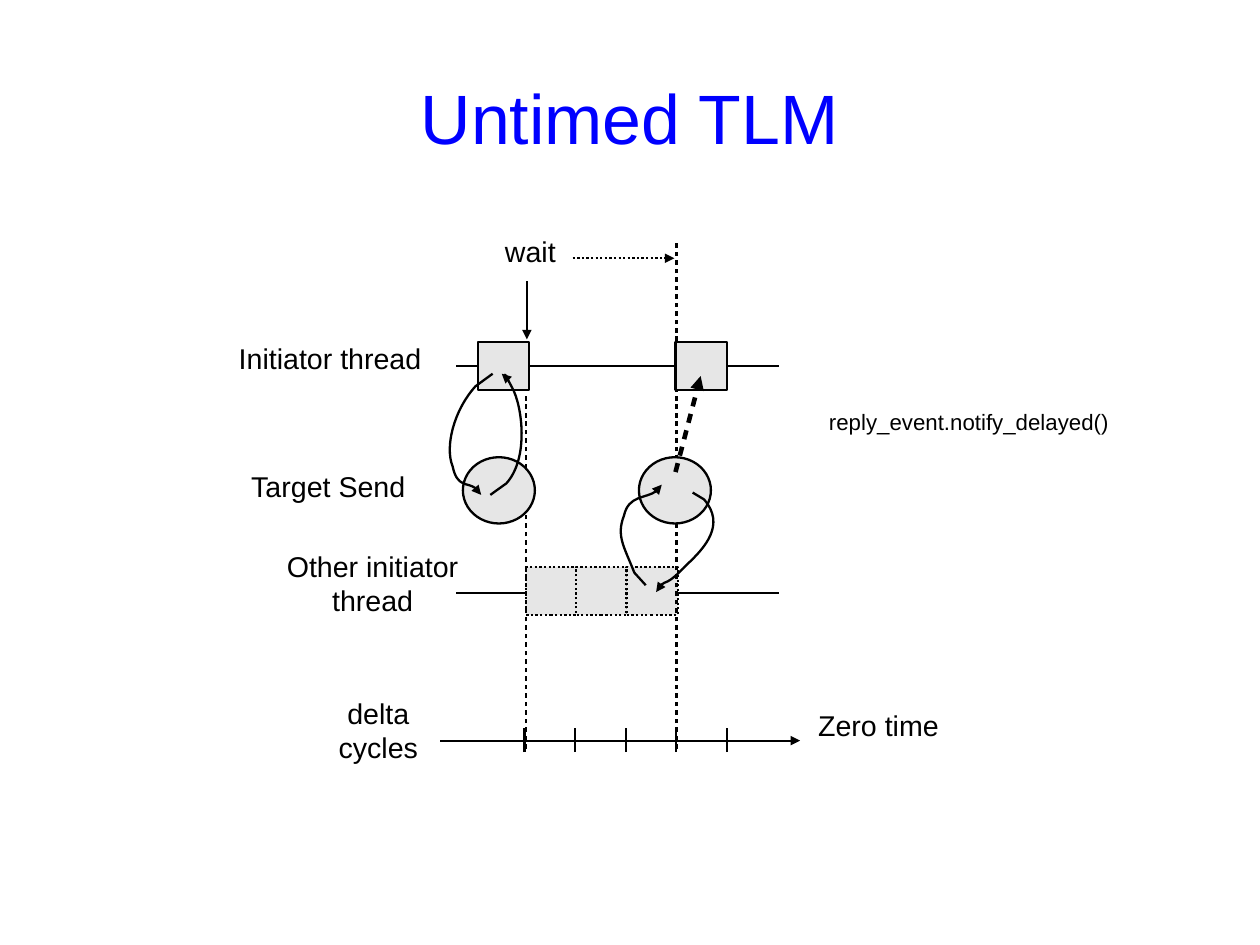
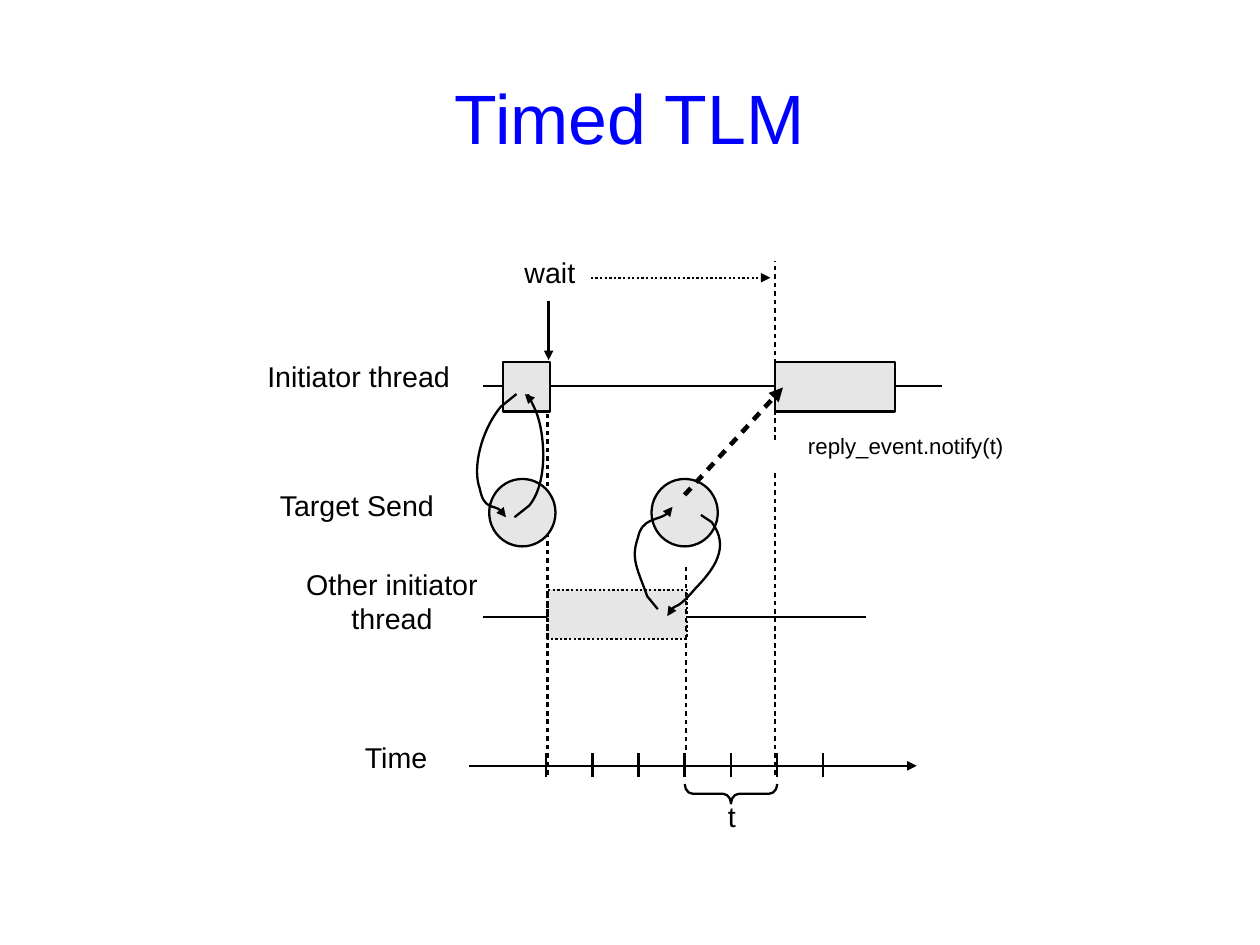
import lxml.etree
import pptx
import pptx.dml.color
import pptx.enum.dml
import pptx.enum.shapes
import pptx.enum.text
import pptx.oxml.ns
import pptx.util

Inches = pptx.util.Inches
Pt = pptx.util.Pt
qn = pptx.oxml.ns.qn
SHAPE = pptx.enum.shapes.MSO_SHAPE
ALIGN = pptx.enum.text.PP_ALIGN
ANCHOR = pptx.enum.text.MSO_ANCHOR

COLORS = {"title": "0000FF", "ink": "000000", "block": "E6E6E6"}
FONT = "Arial"
THIN = 1.45
THICK = 2.89
DOT = (100000, 100000)
DASH = (200000, 170000)
CIRCLE_WIDTH, CIRCLE_HEIGHT = 0.63, 0.58

CALL_LOOP = [
    [(0.26, -0.73), (0.11, -0.62),
     (-0.08, -0.41), (-0.16, -0.09), (-0.09, 0.08),
     (-0.05, 0.27), (0.09, 0.20), (0.16, 0.33)],
    [(0.24, 0.33), (0.38, 0.23),
     (0.58, 0.01), (0.52, -0.45), (0.43, -0.61),
     (0.33, -0.80), (0.40, -0.60), (0.34, -0.73)],
]
REPLY_LOOP = [
    [(0.06, 1.12), (-0.04, 1.01),
     (-0.13, 0.78), (-0.20, 0.69), (-0.13, 0.51),
     (-0.09, 0.33), (0.14, 0.37), (0.20, 0.24)],
    [(0.47, 0.31), (0.57, 0.37),
     (0.76, 0.59), (0.58, 0.79), (0.42, 0.94),
     (0.24, 1.13), (0.21, 1.06), (0.15, 1.18)],
]


def color(name):
    return pptx.dml.color.RGBColor.from_string(COLORS[name])


def write_text(frame, text, size=18, ink="ink", align=ALIGN.LEFT):
    for index, words in enumerate(text.split("\n")):
        para = frame.add_paragraph() if index else frame.paragraphs[0]
        para.alignment = align
        span = para.add_run()
        span.text = words
        span.font.name = FONT
        span.font.size = Pt(size)
        span.font.color.rgb = color(ink)


class TimingDeck:
    def __init__(self):
        self.deck = pptx.Presentation()
        self.deck.slide_width = Inches(28 / 2.54)
        self.deck.slide_height = Inches(21 / 2.54)
        self.page = None

    def add_page(self, title):
        self.page = self.deck.slides.add_slide(self.deck.slide_layouts[6])
        frame = self.label(title, 0.55, 0.33, 9.92, 1.38, size=44,
                           ink="title", align=ALIGN.CENTER)
        frame.vertical_anchor = ANCHOR.MIDDLE
        frame.margin_left = frame.margin_right = 0
        frame.margin_top = frame.margin_bottom = 0

    def label(self, text, left, top, width, height=0.61, **style):
        box = self.page.shapes.add_textbox(
            Inches(left), Inches(top), Inches(width), Inches(height))
        box.text_frame.word_wrap = True
        write_text(box.text_frame, text, **style)
        return box.text_frame

    def outline(self, item, weight=THIN, dash=None, arrow=False):
        item.line.color.rgb = color("ink")
        item.line.width = Pt(weight)
        stroke = item.element.spPr.find(qn("a:ln"))
        if dash:
            length, gap = dash
            pattern = lxml.etree.SubElement(stroke, qn("a:custDash"))
            lxml.etree.SubElement(pattern, qn("a:ds"), d=str(length), sp=str(gap))
        if arrow:
            lxml.etree.SubElement(stroke, qn("a:tailEnd"), type="triangle")

    def line(self, x1, y1, x2, y2, **style):
        connector = self.page.shapes.add_connector(
            pptx.enum.shapes.MSO_CONNECTOR.STRAIGHT,
            Inches(x1), Inches(y1), Inches(x2), Inches(y2))
        self.outline(connector, **style)
        lxml.etree.SubElement(connector.element.spPr, qn("a:effectLst"))

    def block(self, left, top, width, height, kind=SHAPE.RECTANGLE, dash=None):
        shape = self.page.shapes.add_shape(
            kind, Inches(left), Inches(top), Inches(width), Inches(height))
        shape.shadow.inherit = False
        shape.fill.solid()
        shape.fill.fore_color.rgb = color("block")
        self.outline(shape, dash=dash)

    def curve(self, points):
        points = [(Inches(x), Inches(y)) for x, y in points]
        builder = self.page.shapes.build_freeform(*points[0])
        builder.add_line_segments(points[1:], close=False)
        shape = builder.convert_to_shape()
        shape.shadow.inherit = False
        shape.fill.background()
        self.outline(shape, arrow=True)
        steps = list(shape.element.iter(qn("a:lnTo")))[1:]
        for start in range(0, len(steps), 3):
            bend = lxml.etree.Element(qn("a:cubicBezTo"))
            steps[start].addprevious(bend)
            for step in steps[start:start + 3]:
                bend.append(step[0])
                step.getparent().remove(step)

    def loop(self, curves, left, top, width, height):
        for points in curves:
            self.curve([(left + x * width / CIRCLE_WIDTH,
                         top + y * height / CIRCLE_HEIGHT) for x, y in points])

    def brace(self, left, top, width, height):
        shape = self.page.shapes.add_shape(
            SHAPE.RIGHT_BRACE,
            Inches(left + (width - height) / 2), Inches(top + (height - width) / 2),
            Inches(height), Inches(width))
        shape.rotation = 90
        shape.adjustments[0] = 0.41
        shape.shadow.inherit = False
        shape.fill.background()
        self.outline(shape)

    def axis(self, start, end, y, first, last, count):
        self.line(start, y, end, y, arrow=True)
        for index in range(count):
            x = first + index * (last - first) / (count - 1)
            self.line(x, y + 0.1, x, y - 0.11)

    def diagram(self, labels, threads, busy, others, wait, axis, guides,
                circles, resumed, notify):
        for text, left, top, width, align in labels:
            self.label(text, left, top, width, align=align)
        for thread in threads:
            self.line(*thread)
        self.block(*busy)
        for other in others:
            self.block(*other, dash=DOT)
        down, across = wait
        self.line(*down, arrow=True)
        self.line(*across, arrow=True, dash=DOT)
        self.axis(*axis)
        for x, bottom, top in guides:
            self.line(x, bottom, x, top, dash=DASH)
        for circle in circles:
            self.block(*circle, kind=SHAPE.OVAL)
        self.loop(REPLY_LOOP, *circles[1])
        self.block(*resumed)
        self.line(*notify, weight=THICK, dash=DASH, arrow=True)
        self.loop(CALL_LOOP, *circles[0])


def untimed(slides):
    slides.add_page("Untimed TLM")
    slides.diagram(
        labels=[
            ("Initiator thread", 1.99, 2.93, 2.58, ALIGN.LEFT),
            ("Target Send", 2.1, 4.05, 2.26, ALIGN.LEFT),
            ("Other initiator\nthread", 2.04, 4.75, 2.44, ALIGN.CENTER),
            ("wait", 4.32, 2, 0.94, ALIGN.LEFT),
            ("delta\ncycles", 2.67, 6.04, 1.28, ALIGN.CENTER),
            ("Zero time", 7.06, 6.14, 1.8, ALIGN.LEFT),
        ],
        threads=[(3.99, y, 6.82, y) for y in (3.2, 5.19)],
        busy=(4.18, 2.99, 0.45, 0.42),
        others=[(4.6 + 0.44 * index, 4.96, 0.45, 0.42) for index in range(3)],
        wait=[(4.61, 2.46, 4.61, 2.97), (5.01, 2.26, 5.9, 2.26)],
        axis=(3.85, 7, 6.48, 4.59, 6.36, 5),
        guides=[(5.92, 6.55, 2.12), (4.6, 6.55, 3.44)],
        circles=[(x, 4, CIRCLE_WIDTH, CIRCLE_HEIGHT) for x in (4.05, 5.59)],
        resumed=(5.91, 2.99, 0.45, 0.42),
        notify=(5.91, 4.13, 6.13, 3.29))
    slides.label("reply_event.notify_delayed()", 5.99, 3.52, 3.81,
                 size=14, align=ALIGN.RIGHT)


def timed(slides):
    slides.add_page("Timed TLM")
    slides.diagram(
        labels=[
            ("Initiator thread", 2.24, 3.09, 2.37, ALIGN.LEFT),
            ("Target Send", 2.35, 4.22, 2.07, ALIGN.LEFT),
            ("Other initiator\nthread", 2.31, 4.91, 2.24, ALIGN.CENTER),
            ("wait", 4.49, 2.18, 0.87, ALIGN.LEFT),
            ("Time", 2.97, 6.42, 0.99, ALIGN.CENTER),
            ("t", 6.27, 6.94, 0.35, ALIGN.LEFT),
        ],
        threads=[(4.23, 3.38, 8.24, 3.38), (4.23, 5.4, 7.58, 5.4)],
        busy=(4.4, 3.17, 0.41, 0.43),
        others=[(4.79, 5.16, 1.22, 0.43)],
        wait=[(4.8, 2.63, 4.8, 3.15), (5.17, 2.43, 6.74, 2.43)],
        axis=(4.1, 8.02, 6.7, 4.78, 7.2, 7),
        guides=[(6.78, 6.78, 4.14), (6.78, 3.85, 2.28),
                (4.79, 6.78, 3.62), (6, 6.56, 4.96)],
        circles=[(x, 4.19, 0.58, 0.59) for x in (4.28, 5.7)],
        resumed=(6.78, 3.17, 1.05, 0.43),
        notify=(5.99, 4.33, 6.85, 3.39))
    slides.label("reply_event.notify(t)", 6.35, 3.73, 2.53,
                 size=14, align=ALIGN.RIGHT)
    slides.brace(5.99, 6.86, 0.81, 0.17)


def main():
    slides = TimingDeck()
    untimed(slides)
    timed(slides)
    slides.deck.save("out.pptx")


if __name__ == "__main__":
    main()
